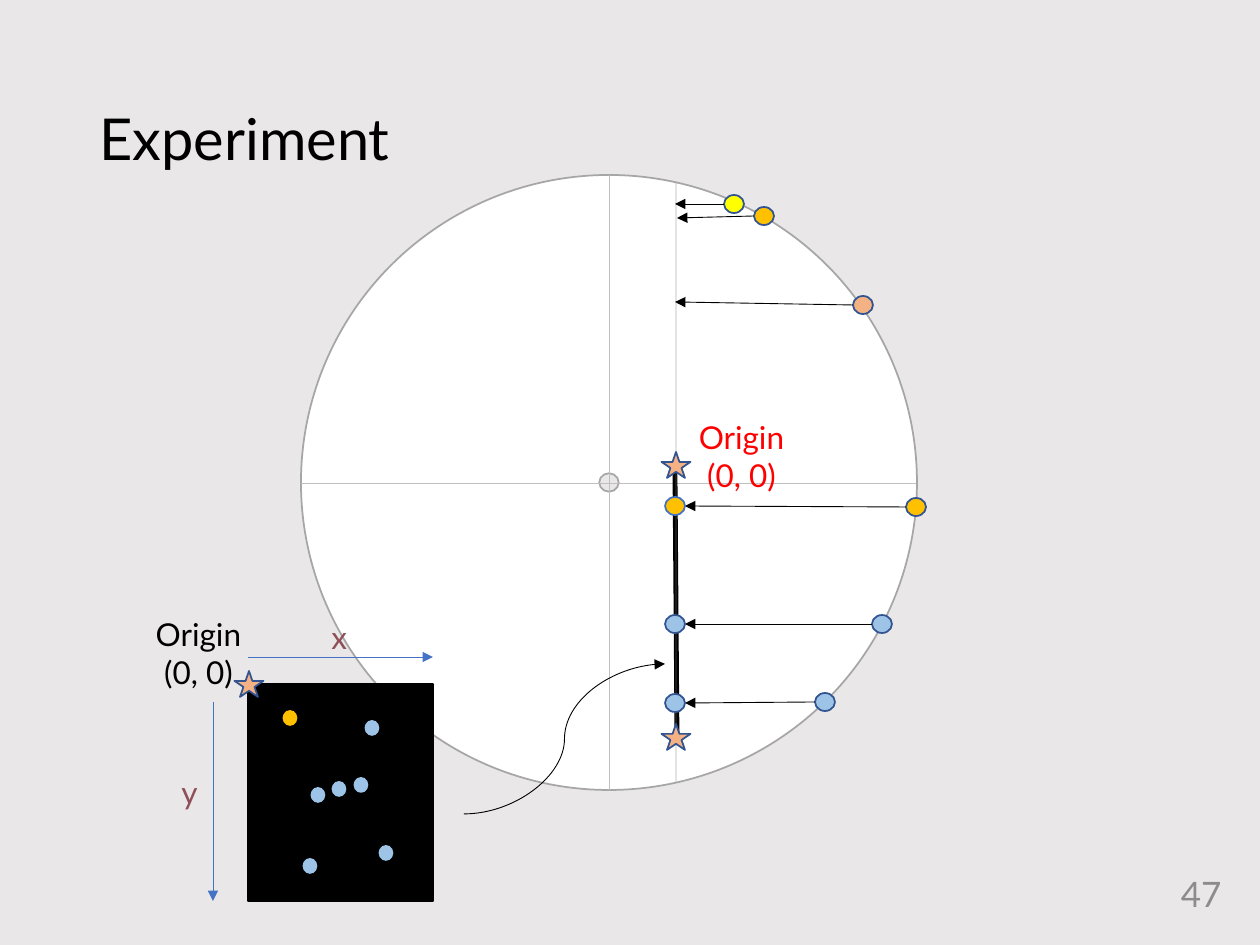
from typing import NamedTuple

import pptx
import pptx.dml.color
import pptx.enum.shapes
import pptx.enum.text
import pptx.oxml.ns
import pptx.util
from lxml import etree

RGBColor = pptx.dml.color.RGBColor
Shape = pptx.enum.shapes.MSO_SHAPE
Connector = pptx.enum.shapes.MSO_CONNECTOR
Align = pptx.enum.text.PP_ALIGN
Anchor = pptx.enum.text.MSO_ANCHOR

PX_PER_INCH = 126
FONT = "Lato"

BACKGROUND = RGBColor(0xE9, 0xE7, 0xE7)
WHITE = RGBColor(0xFF, 0xFF, 0xFF)
BLACK = RGBColor(0, 0, 0)
RED = RGBColor(0xFF, 0, 0)
YELLOW = RGBColor(0xFF, 0xFF, 0)
AMBER = RGBColor(0xFF, 0xC0, 0)
PEACH = RGBColor(0xF4, 0xB1, 0x83)
SKY = RGBColor(0x9D, 0xC3, 0xE6)
NAVY = RGBColor(0x32, 0x54, 0x91)
BLUE = RGBColor(0x44, 0x72, 0xC4)
MAROON = RGBColor(0x8F, 0x4F, 0x58)
NUMBER_GRAY = RGBColor(0x8C, 0x8C, 0x8C)
RIM_GRAY = RGBColor(0xA6, 0xA6, 0xA6)
AXIS_GRAY = RGBColor(0xBF, 0xBF, 0xBF)
CHORD_GRAY = RGBColor(0x80, 0x80, 0x80)


class Point(NamedTuple):
    x: int
    y: int


class Size(NamedTuple):
    width: int
    height: int


class Dot(NamedTuple):
    center: Point
    fill: RGBColor
    line: RGBColor = NAVY


class Projection(NamedTuple):
    """A dot on the rim and the arrow tip it is projected to."""
    dot: Dot
    tip: Point


DOT_SIZE = Size(20, 18)
STAR_SIZE = Size(29, 26)
SPOT_SIZE = Size(13, 14)

PROJECTIONS = [
    Projection(Dot(Point(734, 204), YELLOW), Point(675, 204)),
    Projection(Dot(Point(764, 216), AMBER), Point(677, 218)),
    Projection(Dot(Point(863, 305), PEACH), Point(675, 302)),
    Projection(Dot(Point(916, 507), AMBER), Point(685, 506)),
    Projection(Dot(Point(882, 624), SKY), Point(685, 624)),
    Projection(Dot(Point(825, 702), SKY), Point(685, 703)),
]
CHORD_DOTS = [
    Dot(Point(675, 703), SKY),
    Dot(Point(675, 624), SKY),
    Dot(Point(675, 506), AMBER, BLUE),
]
STARS = [Point(676, 465), Point(676, 737), Point(249, 684)]
SPOTS = [
    Dot(Point(290, 718), AMBER, AMBER),
    *(Dot(Point(x, y), SKY, SKY) for x, y in
      [(372, 728), (318, 795), (339, 789), (361, 785), (386, 853), (310, 866)]),
]


def emu(px: float) -> pptx.util.Emu:
    return pptx.util.Emu(round(px * 914400 / PX_PER_INCH))


def add_figure(page, kind, left: float, top: float, size: Size,
               fill: RGBColor, line: RGBColor):
    figure = page.shapes.add_shape(
        kind, emu(left), emu(top), emu(size.width), emu(size.height))
    figure.shadow.inherit = False
    figure.fill.solid()
    figure.fill.fore_color.rgb = fill
    figure.line.color.rgb = line
    figure.line.width = pptx.util.Pt(1)
    return figure


def add_centered(page, kind, center: Point, size: Size,
                 fill: RGBColor, line: RGBColor):
    return add_figure(page, kind, center.x - size.width / 2,
                      center.y - size.height / 2, size, fill, line)


def add_line(page, start: Point, end: Point, color: RGBColor, width: float = 0.5,
             kind=Connector.STRAIGHT, arrow: bool = False, alpha: int = 100):
    link = page.shapes.add_connector(
        kind, emu(start.x), emu(start.y), emu(end.x), emu(end.y))
    link.line.color.rgb = color
    link.line.width = pptx.util.Pt(width)
    qn = pptx.oxml.ns.qn
    outline = link.line._get_or_add_ln()
    if alpha < 100:
        tint = outline.find(".//" + qn("a:srgbClr"))
        etree.SubElement(tint, qn("a:alpha")).set("val", str(alpha * 1000))
    if arrow:
        etree.SubElement(outline, qn("a:tailEnd")).set("type", "triangle")
    etree.SubElement(link._element.spPr, qn("a:effectLst"))
    return link


def add_text(page, text: str, left: int, top: int, size: Size, *, points: int = 18,
             color: RGBColor = BLACK, align=Align.LEFT, anchor=Anchor.TOP,
             spacing: float = 1.0):
    box = page.shapes.add_textbox(
        emu(left), emu(top), emu(size.width), emu(size.height))
    frame = box.text_frame
    frame.word_wrap = True
    frame.vertical_anchor = anchor
    frame.text = text
    for para in frame.paragraphs:
        para.alignment = align
        para.line_spacing = spacing
        para.font.name = FONT
        para.font.size = pptx.util.Pt(points)
        para.font.color.rgb = color
    return box


def add_origin(page, left: int, top: int, color: RGBColor):
    add_text(page, "Origin\n(0, 0)", left, top, Size(115, 89),
             color=color, align=Align.CENTER)


def draw_disc(page):
    disc = add_figure(page, Shape.DONUT, 301, 175, Size(616, 615), WHITE, RIM_GRAY)
    disc.adjustments[0] = 0.485
    add_line(page, Point(301, 483), Point(916, 483), AXIS_GRAY)
    add_line(page, Point(609, 175), Point(609, 790), AXIS_GRAY)


def draw_projections(page):
    for dot, _ in PROJECTIONS:
        add_centered(page, Shape.FLOWCHART_CONNECTOR, dot.center, DOT_SIZE,
                     dot.fill, dot.line)
    add_line(page, Point(675, 473), Point(677, 735), BLACK, 2.75)
    add_line(page, Point(676, 183), Point(676, 782), CHORD_GRAY, alpha=59)
    for dot, tip in PROJECTIONS:
        start = Point(dot.center.x - DOT_SIZE.width // 2, dot.center.y)
        add_line(page, start, tip, BLACK, arrow=True)
    for dot in CHORD_DOTS:
        add_centered(page, Shape.FLOWCHART_CONNECTOR, dot.center, DOT_SIZE,
                     dot.fill, dot.line)
    add_line(page, Point(464, 814), Point(665, 664), BLACK,
             kind=Connector.CURVE, arrow=True)


def draw_panel(page):
    add_line(page, Point(213, 702), Point(213, 901), BLUE, arrow=True)
    add_line(page, Point(248, 657), Point(433, 657), BLUE, arrow=True)
    add_text(page, "x", 319, 612, Size(38, 50), color=MAROON)
    add_text(page, "y", 169, 767, Size(38, 50), color=MAROON)
    add_figure(page, Shape.RECTANGLE, 248, 684, Size(185, 217), BLACK, BLACK)
    for spot in SPOTS:
        add_centered(page, Shape.OVAL, spot.center, SPOT_SIZE, spot.fill, spot.line)


def main():
    deck = pptx.Presentation()
    deck.slide_width, deck.slide_height = emu(1260), emu(945)
    page = deck.slides.add_slide(deck.slide_layouts[6])
    page.background.fill.solid()
    page.background.fill.fore_color.rgb = BACKGROUND

    add_text(page, "47", 1058, 868, Size(176, 50), points=20, color=NUMBER_GRAY,
             align=Align.RIGHT, anchor=Anchor.MIDDLE)
    draw_disc(page)
    draw_projections(page)
    add_text(page, "Experiment", 87, 50, Size(1086, 183), points=33,
             anchor=Anchor.MIDDLE, spacing=0.9)
    draw_panel(page)
    add_origin(page, 141, 609, BLACK)
    add_origin(page, 684, 412, RED)
    for center in STARS:
        add_centered(page, Shape.STAR_5_POINT, center, STAR_SIZE, PEACH, NAVY)
    deck.save("out.pptx")


if __name__ == "__main__":
    main()
